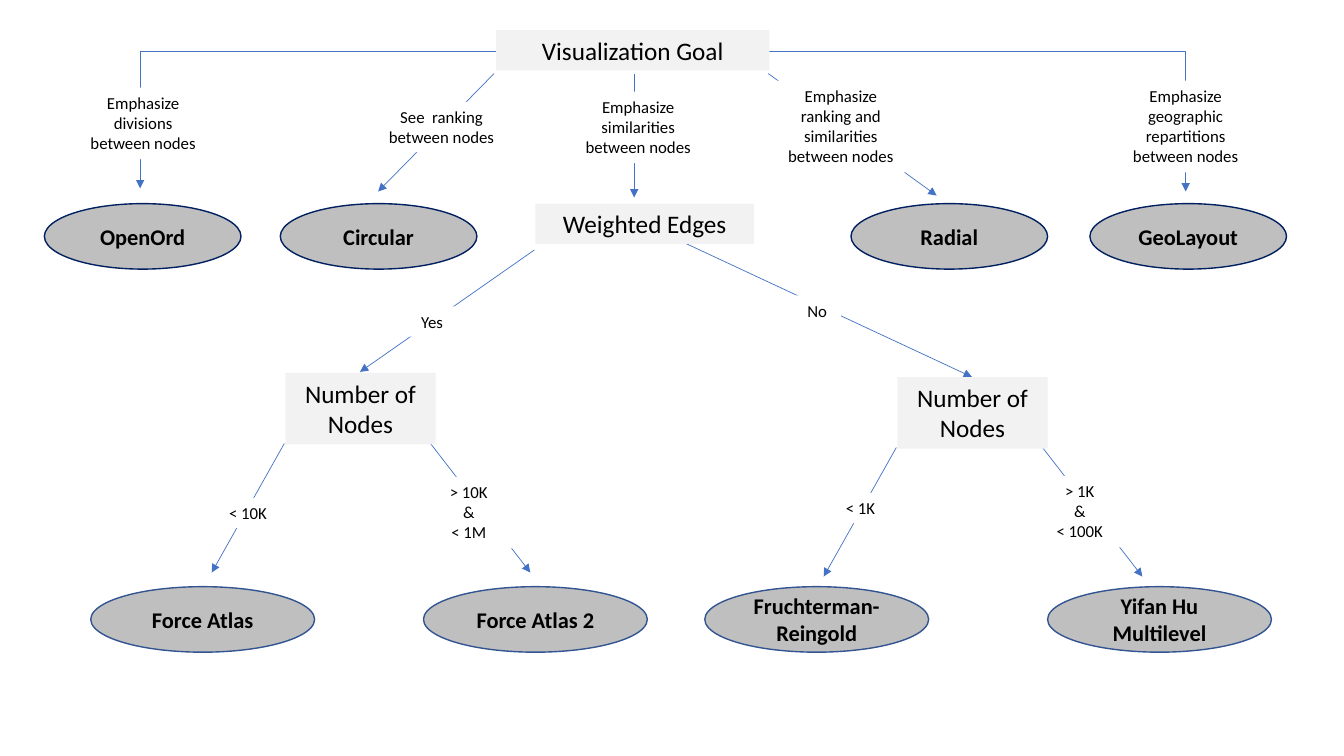
import pptx
import pptx.util
import pptx.dml.color
import pptx.enum.shapes
import pptx.enum.text
import pptx.oxml
import pptx.oxml.ns
import lxml.etree

Inches = pptx.util.Inches
Pt = pptx.util.Pt
Shapes = pptx.enum.shapes.MSO_SHAPE
Connectors = pptx.enum.shapes.MSO_CONNECTOR
hex_color = pptx.dml.color.RGBColor.from_string
qname = pptx.oxml.ns.qn

presentation = pptx.Presentation()
presentation.slide_width = Inches(13.33)
presentation.slide_height = Inches(7.5)
slide = presentation.slides.add_slide(presentation.slide_layouts[6])


def add_arrow(start, end, kind=Connectors.STRAIGHT):
    connector = slide.shapes.add_connector(kind, *map(Inches, start + end))
    connector.line.color.rgb = hex_color("4472C4")
    connector.line.width = Pt(0.5)
    line = connector.line._get_or_add_ln()
    lxml.etree.SubElement(line, qname("a:tailEnd"), type="triangle")
    properties = connector._element.spPr
    lxml.etree.SubElement(properties, qname("a:effectLst"))
    if kind == Connectors.ELBOW:
        geometry = properties.find(qname("a:prstGeom"))
        adjustments = geometry.find(qname("a:avLst"))
        if adjustments is None:
            adjustments = lxml.etree.SubElement(geometry, qname("a:avLst"))
        lxml.etree.SubElement(adjustments, qname("a:gd"), name="adj1", fmla="val 100000")


def add_node(text, left, top, width, height, size, fill, outline=None):
    preset = Shapes.OVAL if outline else Shapes.RECTANGLE
    shape = slide.shapes.add_shape(preset, *map(Inches, (left, top, width, height)))
    shape.shadow.inherit = False
    shape.fill.solid()
    shape.fill.fore_color.rgb = hex_color(fill)
    frame = shape.text_frame
    frame.word_wrap = True
    if outline:
        shape.line.color.rgb = hex_color(outline)
        shape.line.width = Pt(1)
        frame.vertical_anchor = pptx.enum.text.MSO_ANCHOR.MIDDLE
    else:
        shape.line.fill.background()
        frame.vertical_anchor = pptx.enum.text.MSO_ANCHOR.TOP
        frame.auto_size = pptx.enum.text.MSO_AUTO_SIZE.SHAPE_TO_FIT_TEXT
    for index, words in enumerate(text.split("\n")):
        paragraph = frame.paragraphs[0] if index == 0 else frame.add_paragraph()
        paragraph.alignment = pptx.enum.text.PP_ALIGN.CENTER
        run = paragraph.add_run()
        run.text = words
        run.font.name = "Calibri"
        run.font.size = Pt(size)
        run.font.bold = bool(outline)
        run.font.color.rgb = hex_color("000000")


for start, end in [
    ((4.92, 0.51), (1.39, 1.87)),
    ((7.63, 0.51), (11.76, 1.9)),
]:
    add_arrow(start, end, Connectors.ELBOW)

for start, end in [
    ((4.9, 0.73), (3.75, 1.9)),
    ((6.29, 0.73), (6.29, 1.96)),
    ((7.62, 0.73), (9.29, 1.94)),
    ((5.3, 2.48), (3.57, 3.69)),
    ((6.79, 2.41), (9.64, 3.74)),
]:
    add_arrow(start, end)

for left, top in [(2.83, 3.7), (8.9, 3.74)]:
    branch_top = top + 0.7
    branch_bottom = top + 1.98
    add_arrow((left - 0.01, branch_top), (left - 0.73, branch_bottom))
    add_arrow((left + 1.44, branch_top), (left + 2.43, branch_bottom))
    add_node("Number of\nNodes", left, top, 1.49, 0.71, 18, "F2F2F2")

for text, left, top, width in [
    ("Visualization Goal", 4.92, 0.3, 2.71),
    ("Weighted Edges", 5.31, 2.02, 2.17),
]:
    add_node(text, left, top, width, 0.4, 18, "F2F2F2")

for text, left in [
    ("OpenOrd", 0.44),
    ("Circular", 2.78),
    ("Radial", 8.44),
    ("GeoLayout", 10.81),
]:
    add_node(text, left, 2.02, 1.95, 0.65, 16, "BFBFBF", "002060")

for text, left in [
    ("Force Atlas", 0.9),
    ("Force Atlas 2", 4.2),
    ("Fruchterman-Reingold", 6.99),
    ("Yifan Hu Multilevel", 10.39),
]:
    add_node(text, left, 5.82, 2.22, 0.65, 16, "BFBFBF", "325491")

for text, left, top, width, height in [
    ("Emphasize divisions between nodes", 0.77, 0.87, 1.3, 0.71),
    ("See  ranking between nodes", 3.73, 1.01, 1.3, 0.5),
    ("Emphasize similarities between nodes", 5.68, 0.91, 1.3, 0.71),
    ("Emphasize ranking and similarities between nodes", 7.69, 0.8, 1.3, 0.91),
    ("Emphasize geographic repartitions between nodes", 11.11, 0.8, 1.3, 0.91),
    ("Yes", 3.96, 3.04, 0.65, 0.3),
    ("No", 7.87, 2.93, 0.47, 0.3),
    ("< 10K", 2.01, 4.94, 0.9, 0.3),
    ("> 10K\n&\n< 1M", 4, 4.73, 1.3, 0.71),
    ("< 1K", 8.21, 4.89, 0.65, 0.3),
    ("> 1K\n&\n< 100K", 10.06, 4.72, 1.3, 0.71),
]:
    add_node(text, left, top, width, height, 12, "FFFFFF")

presentation.save("out.pptx")
